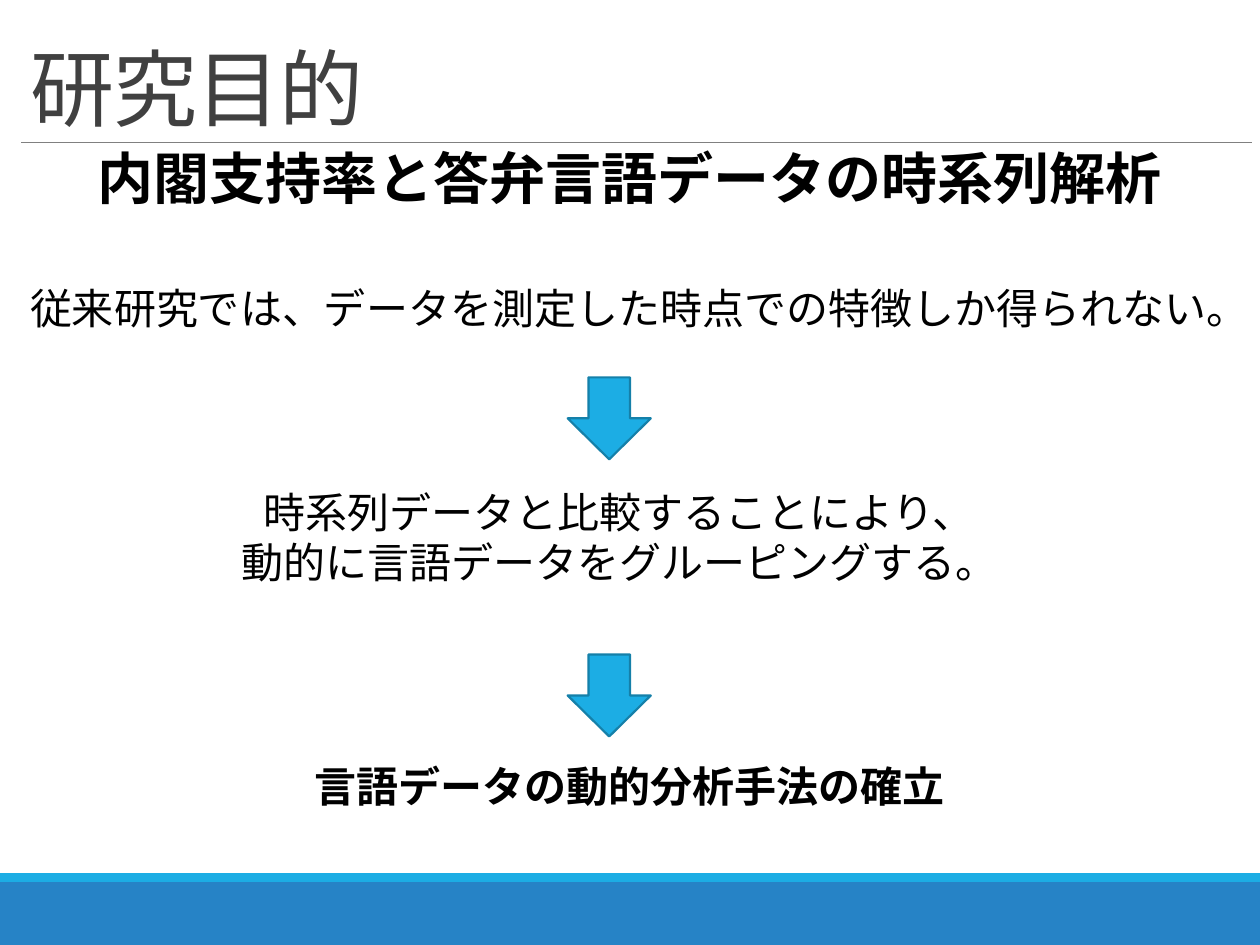
"""Build the research purpose slide."""
from typing import NamedTuple

from lxml.etree import SubElement as Sub
from pptx import Presentation as Deck
from pptx.dml.color import RGBColor as Color
from pptx.enum.lang import MSO_LANGUAGE_ID as Lang
from pptx.enum.shapes import MSO_CONNECTOR as Link, MSO_SHAPE as Kind
from pptx.enum.text import MSO_ANCHOR as Anchor, MSO_AUTO_SIZE as Fit, PP_ALIGN as Align
from pptx.oxml.ns import qn
from pptx.util import Inches, Pt

SKY, BLUE, EDGE = "1CADE4", "2683C6", "1580A9"
INK, DARK, GRAY = "000000", "404040", "808080"
NOTO, LATIN = "Noto Sans CJK JP", "Calibri"


class Box(NamedTuple):
    """Hold an area in percent of the slide."""
    x: float
    y: float
    w: float
    h: float


class Note(NamedTuple):
    """Hold a text block."""
    box: Box
    lines: tuple[str, ...]
    size: int = 24
    font: str = LATIN
    bold: bool = False
    align: Align = Align.CENTER


NOTES = (
    Note(Box(0, 14.53, 100, 8.53), ("内閣支持率と答弁言語データの時系列解析",), 32, NOTO, True),
    Note(Box(1.4, 29.2, 97, 12.13),
         ("従来研究では、データを測定した時点での特徴しか得られない。",), align=Align.LEFT),
    Note(Box(0, 50.8, 98.3, 12.13),
         ("時系列データと比較することにより、", "動的に言語データをグルーピングする。")),
    Note(Box(0, 79.87, 100, 6.67), ("言語データの動的分析手法の確立",), bold=True),
)
BANDS = ((Box(0, 93.33, 100, 6.67), BLUE), (Box(0, 92.4, 100, 0.93), SKY))
ARROWS = tuple(Box(45.1, y, 6.5, 8.8) for y in (39.87, 69.2))

deck = Deck()
deck.slide_width, deck.slide_height = Inches(10), Inches(7.5)
slide = deck.slides.add_slide(deck.slide_layouts[5])
shapes = slide.shapes


def tint(code: str) -> Color:
    """Turn a hex string into a colour."""
    return Color.from_string(code)


def area(box: Box) -> tuple[int, ...]:
    """Turn percent into slide lengths."""
    wide, high = deck.slide_width, deck.slide_height
    sides = (wide, high, wide, high)
    return tuple(round(part * side / 100) for part, side in zip(box, sides))


def write(frame, note: Note, code: str = INK) -> None:
    """Write the lines of a note run by run."""
    frame.word_wrap = True
    for i, line in enumerate(note.lines):
        para = frame.add_paragraph() if i else frame.paragraphs[0]
        para.alignment = note.align
        run = para.add_run()
        run.text = line
        font = run.font
        font.size, font.bold, font.name = Pt(note.size), note.bold, note.font
        font.color.rgb = tint(code)
        font.language_id = Lang.JAPANESE
        Sub(font._element, qn("a:ea")).set("typeface", NOTO)


def block(kind: Kind, box: Box, fill: str, edge: str = "", turn: int = 0) -> None:
    """Draw a filled shape."""
    shape = shapes.add_shape(kind, *area(box))
    shape.shadow.inherit = False
    shape.rotation = turn
    shape.fill.solid()
    shape.fill.fore_color.rgb = tint(fill)
    if edge:
        shape.line.color.rgb = tint(edge)
        shape.line.width = Pt(1.25)
    else:
        shape.line.fill.background()


def rule(box: Box, code: str) -> None:
    """Draw a thin line."""
    x, y, w, h = area(box)
    line = shapes.add_connector(Link.STRAIGHT, x, y, x + w, y + h)
    line.line.color.rgb = tint(code)
    line.line.width = Pt(0.5)
    Sub(line._element.spPr, qn("a:effectLst"))


def head(note: Note) -> None:
    """Fill the title placeholder."""
    title = shapes.title
    title.left, title.top, title.width, title.height = area(note.box)
    frame = title.text_frame
    frame.auto_size, frame.vertical_anchor = Fit.NONE, Anchor.BOTTOM
    write(frame, note, DARK)
    para = frame.paragraphs[0]
    para.line_spacing = 0.85
    para.runs[0].font._element.set("spc", "-50")


for box, code in BANDS:
    block(Kind.RECTANGLE, box, code)
rule(Box(1.7, 15.07, 97.7, 0), GRAY)
head(Note(Box(1.4, 1.2, 86.2, 14), ("研究目的",), 48, NOTO, align=Align.LEFT))
for note in NOTES:
    frame = shapes.add_textbox(*area(note.box)).text_frame
    write(frame, note)
    frame.auto_size = Fit.SHAPE_TO_FIT_TEXT
for box in ARROWS:
    block(Kind.RIGHT_ARROW, box, SKY, EDGE, 90)

deck.save("out.pptx")
